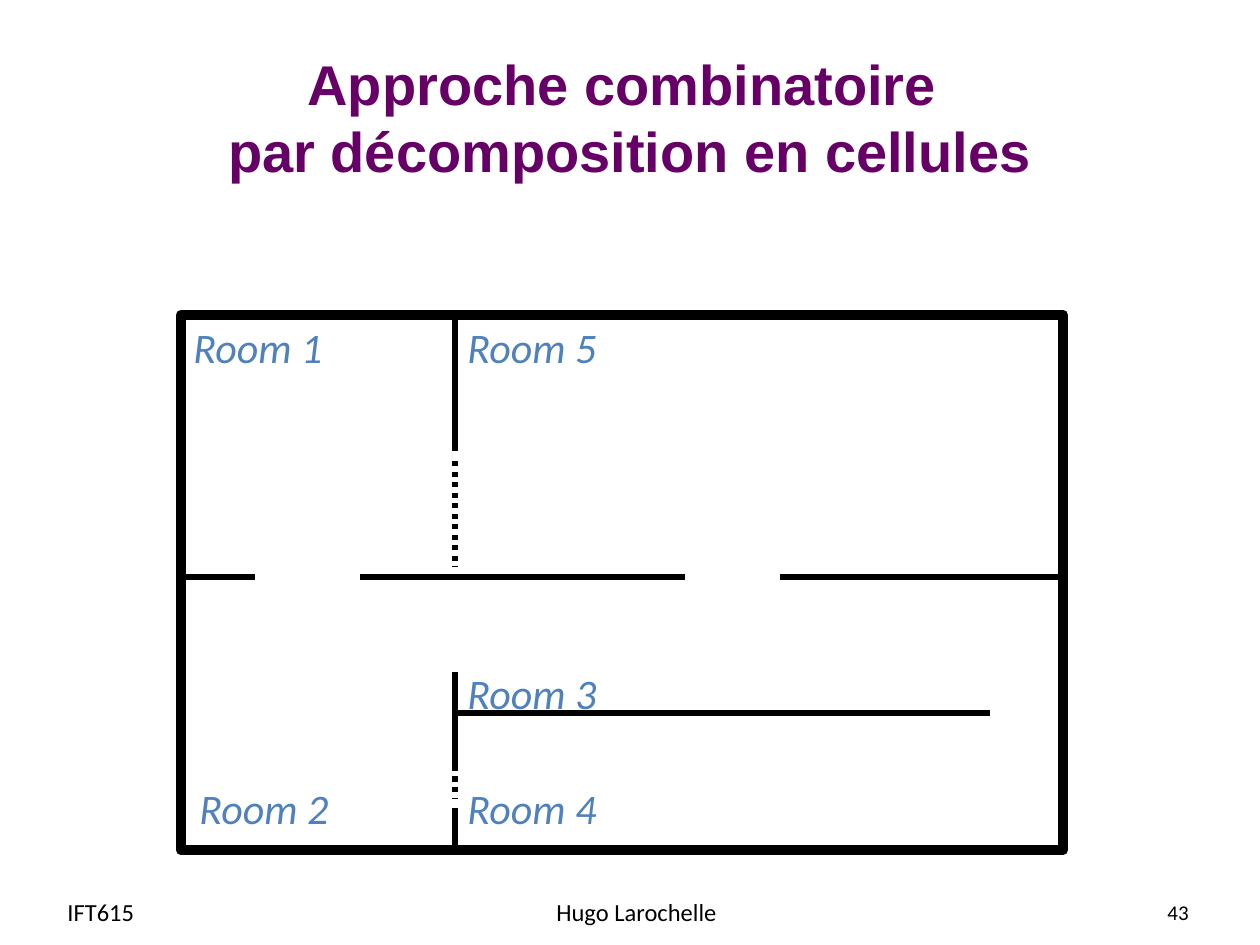
from dataclasses import dataclass
from typing import Optional

from lxml import etree
from pptx import Presentation
from pptx import util as u
from pptx.dml.color import RGBColor
from pptx.enum import dml, shapes, text
from pptx.oxml import ns

PX_PER_INCH = 126


@dataclass(frozen=True)
class Theme:
    wall: str = "000000"
    room: str = "4F81BD"
    title: str = "660066"
    footer: str = "000000"
    title_font: str = "Arial"
    body_font: str = "Calibri"
    title_size: int = 32
    room_size: int = 24
    footer_size: int = 14
    number_size: int = 12
    outer_wall: int = 6
    inner_wall: int = 3


@dataclass(frozen=True)
class Box:
    left: int
    top: int
    width: int
    height: int


@dataclass(frozen=True)
class Wall:
    x1: int
    y1: int
    x2: int
    y2: int
    opening: bool = False


@dataclass(frozen=True)
class Room:
    name: str
    left: int
    top: int


@dataclass(frozen=True)
class Footer:
    words: str
    box: Box
    align: text.PP_ALIGN
    size: int


THEME = Theme()
HOUSE = Box(181, 315, 882, 535)
RIGHT = HOUSE.left + HOUSE.width
BOTTOM = HOUSE.top + HOUSE.height
HALL_X, HALL_Y, SHELF_Y = 455, 577, 713
DOOR_TOP, DOOR_BOTTOM = 766, 798

WALLS = [
    Wall(HOUSE.left, HALL_Y, 255, HALL_Y),
    Wall(360, HALL_Y, 685, HALL_Y),
    Wall(RIGHT, HALL_Y, 780, HALL_Y),
    Wall(HALL_X, HOUSE.top, HALL_X, 451),
    Wall(HALL_X, 672, HALL_X, DOOR_TOP),
    Wall(HALL_X, 808, HALL_X, BOTTOM),
    Wall(HALL_X, SHELF_Y, 990, SHELF_Y),
    Wall(HALL_X, 461, HALL_X, 567, opening=True),
    Wall(HALL_X, DOOR_TOP, HALL_X, DOOR_BOTTOM, opening=True),
]
ROOMS = [
    Room("Room 1", 175, 315),
    Room("Room 2", 181, 776),
    Room("Room 5", 449, 315),
    Room("Room 4", 449, 776),
    Room("Room 3", 449, 661),
]
FOOTERS = [
    Footer("IFT615", Box(55, 887, 243, 50), text.PP_ALIGN.LEFT, THEME.footer_size),
    Footer("43", Box(907, 887, 294, 50), text.PP_ALIGN.RIGHT, THEME.number_size),
    Footer("Hugo Larochelle", Box(437, 887, 399, 50), text.PP_ALIGN.CENTER, THEME.footer_size),
]


def px(length: int) -> u.Emu:
    return u.Emu(round(length * 914400 / PX_PER_INCH))


def bounds(box: Box) -> tuple:
    return px(box.left), px(box.top), px(box.width), px(box.height)


def write(frame, words: str, *, size: int, color: str, font: str = THEME.body_font,
          align: text.PP_ALIGN = text.PP_ALIGN.CENTER,
          anchor: text.MSO_ANCHOR = text.MSO_ANCHOR.MIDDLE, wrap: bool = True,
          bold: Optional[bool] = None, italic: Optional[bool] = None) -> None:
    frame.word_wrap = wrap
    frame.vertical_anchor = anchor
    paragraph = frame.paragraphs[0]
    for index, line in enumerate(words.split("\n")):
        if index:
            paragraph.add_line_break()
        run = paragraph.add_run()
        run.text = line
        run.font.name, run.font.size = font, u.Pt(size)
        run.font.bold, run.font.italic = bold, italic
        run.font.color.rgb = RGBColor.from_string(color)
    paragraph.alignment = align


def draw_house(slide) -> None:
    house = slide.shapes.add_shape(shapes.MSO_SHAPE.RECTANGLE, *bounds(HOUSE))
    house.shadow.inherit = False
    house.fill.background()
    house.line.color.rgb = RGBColor.from_string(THEME.wall)
    house.line.width = u.Pt(THEME.outer_wall)


def draw_wall(slide, wall: Wall) -> None:
    line = slide.shapes.add_connector(
        shapes.MSO_CONNECTOR.STRAIGHT, px(wall.x1), px(wall.y1), px(wall.x2), px(wall.y2))
    line.line.color.rgb = RGBColor.from_string(THEME.wall)
    line.line.width = u.Pt(THEME.inner_wall)
    if wall.opening:
        line.line.dash_style = dml.MSO_LINE.ROUND_DOT
    etree.SubElement(line._element.spPr, ns.qn("a:effectLst"))


def draw_room(slide, room: Room) -> None:
    label = slide.shapes.add_textbox(*bounds(Box(room.left, room.top, 166, 64)))
    write(label.text_frame, room.name, size=THEME.room_size, color=THEME.room,
          anchor=text.MSO_ANCHOR.TOP, wrap=False, italic=True)


def draw_footer(slide, footer: Footer) -> None:
    note = slide.shapes.add_textbox(*bounds(footer.box))
    write(note.text_frame, footer.words, size=footer.size, color=THEME.footer,
          align=footer.align)


def main() -> None:
    deck = Presentation()
    deck.slide_width, deck.slide_height = u.Inches(10), u.Inches(7.5)
    slide = deck.slides.add_slide(deck.slide_layouts[5])

    title = slide.shapes.title
    title.left, title.top, title.width, title.height = bounds(Box(63, 38, 1134, 158))
    title.text_frame.auto_size = text.MSO_AUTO_SIZE.NONE
    write(title.text_frame, "Approche combinatoire \npar décomposition en cellules",
          size=THEME.title_size, color=THEME.title, font=THEME.title_font, bold=True)

    draw_house(slide)
    for wall in WALLS:
        draw_wall(slide, wall)
    for room in ROOMS:
        draw_room(slide, room)
    for footer in FOOTERS:
        draw_footer(slide, footer)
    deck.save("out.pptx")


if __name__ == "__main__":
    main()
